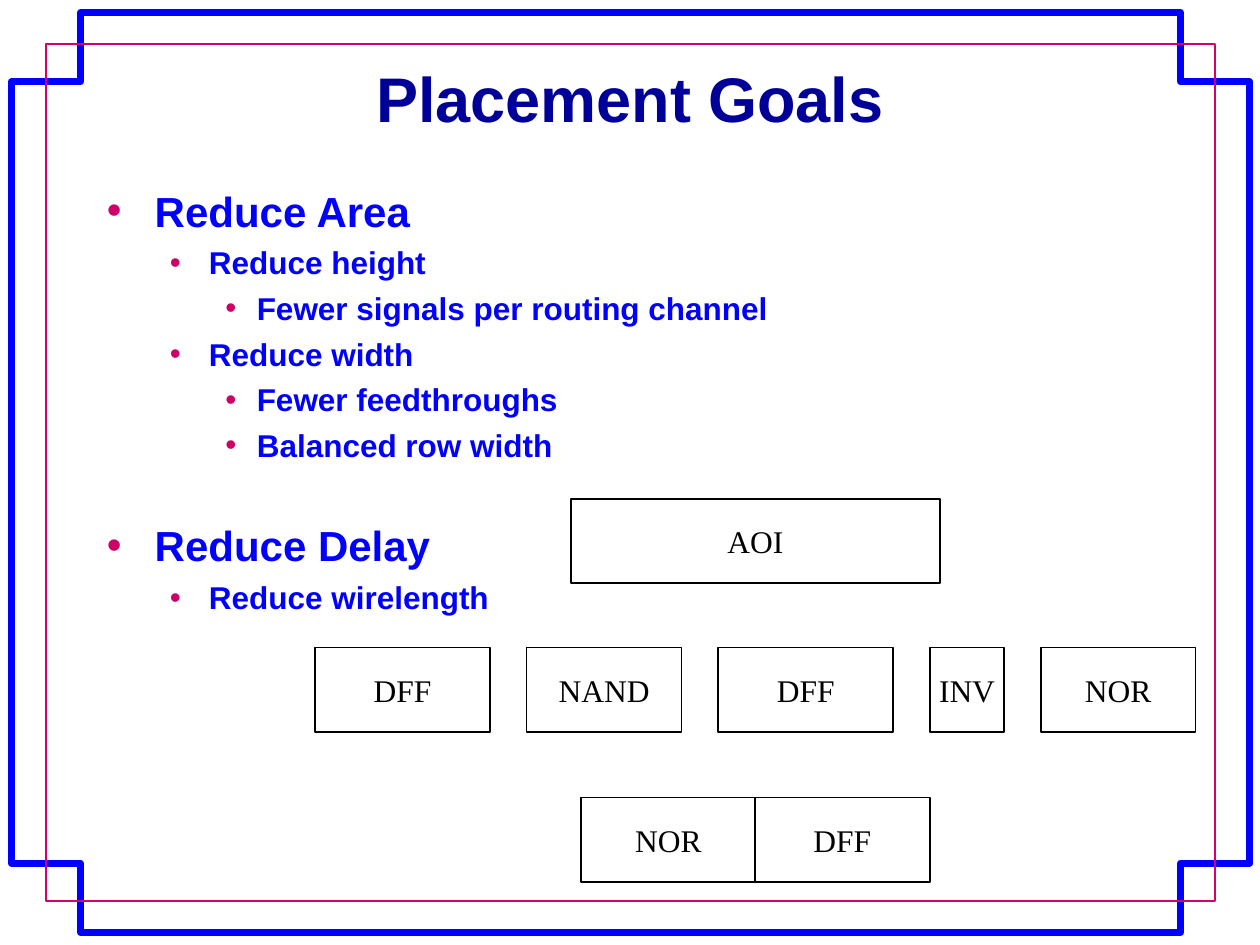
import pptx
import pptx.util
import pptx.dml.color
import pptx.enum.shapes
import pptx.enum.text
import pptx.oxml.ns
from lxml import etree

Pt, Inch = pptx.util.Pt, pptx.util.Inches
ALIGN = pptx.enum.text.PP_ALIGN
ANCHOR = pptx.enum.text.MSO_ANCHOR
RECT = pptx.enum.shapes.MSO_SHAPE.RECTANGLE

WIDE, HIGH = 10, 7.5
INSET = dict(margin_left=Inch(0.1), margin_right=Inch(0.1),
             margin_top=Inch(0.05), margin_bottom=Inch(0.05))

# Per level: text indent, hanging indent, size, space before
LEVELS = [(0.38, 0.38, 24, 6), (0.81, 0.31, 18, 4.5), (1.19, 0.25, 18, 4.5)]
GAP = 32  # space before a new section

GOALS = [
    (0, "Reduce Area"), (1, "Reduce height"),
    (2, "Fewer signals per routing channel"), (1, "Reduce width"),
    (2, "Fewer feedthroughs"), (2, "Balanced row width"),
    (0, "Reduce Delay"), (1, "Reduce wirelength"),
]

# Cell rows: left, top, gap between cells, cells
CELL = 0.67
SIZES = {"AOI": 2.93, "DFF": 1.39, "NAND": 1.23, "INV": 0.59, "NOR": 1.23}
ROWS = [
    (4.53, 3.96, 0, [("AOI", SIZES["AOI"])]),
    (2.5, 5.14, 0.29, [(name, SIZES[name])
                       for name in ("DFF", "NAND", "DFF", "INV", "NOR")]),
    (4.61, 6.33, -0.01, [("NOR", SIZES["DFF"]), ("DFF", SIZES["DFF"])]),
]


def color(code):
    return pptx.dml.color.RGBColor.from_string(code)


def format(item, values):
    for key, value in values.items():
        setattr(item, key, value)


def style(run, size, font, code, bold):
    format(run.font, dict(size=Pt(size), name=font, bold=bold))
    run.font.color.rgb = color(code)


def place(shape, box):
    names = ("left", "top", "width", "height")
    format(shape, dict(zip(names, map(Inch, box))))


def outline(slide, points, code, weight):
    """Closed, unfilled polygon through points in inches."""
    spots = [(Inch(x), Inch(y)) for x, y in points]
    pen = slide.shapes.build_freeform(*spots[0])
    pen.add_line_segments(spots[1:], close=True)
    shape = pen.convert_to_shape()
    shape.shadow.inherit = False
    shape.fill.background()
    shape.line.color.rgb = color(code)
    shape.line.width = Pt(weight)


def frame(slide, box, notch):
    """Notched outer border and thin inner border."""
    left, top, wide, high = box
    right, base = left + wide, top + high
    dx, dy = notch
    outline(slide, [
        (left, top + dy), (left + dx, top + dy), (left + dx, top),
        (right - dx, top), (right - dx, top + dy), (right, top + dy),
        (right, base - dy), (right - dx, base - dy), (right - dx, base),
        (left + dx, base), (left + dx, base - dy), (left, base - dy),
    ], "0000FF", 4)
    x, y = left + dx / 2, top + 0.25
    end, low = right - dx / 2, base - 0.25
    outline(slide, [(x, y), (end, y), (end, low), (x, low)], "D5006C", 1)


def title(slide, box, text):
    shape = slide.shapes.title
    place(shape, box)
    format(shape.text_frame, dict(INSET, vertical_anchor=ANCHOR.TOP,
                                  word_wrap=True))
    para = shape.text_frame.paragraphs[0]
    para.alignment = ALIGN.CENTER
    run = para.add_run()
    run.text = text
    style(run, 36, "Arial", "000099", True)


def bullet(para, left, hang):
    props = para._p.get_or_add_pPr()
    props.set("marL", str(Inch(left)))
    props.set("indent", str(-Inch(hang)))
    name = pptx.oxml.ns.qn
    tint = etree.SubElement(props, name("a:buClr"))
    etree.SubElement(tint, name("a:srgbClr"), val="CC0066")
    etree.SubElement(props, name("a:buFont"), typeface="Arial")
    etree.SubElement(props, name("a:buChar"), char="•")


def goals(slide, box, items):
    """Bulleted list with three levels."""
    body = slide.shapes.add_textbox(*map(Inch, box)).text_frame
    format(body, dict(INSET, word_wrap=True))
    for index, (level, text) in enumerate(items):
        left, hang, size, before = LEVELS[level]
        para = body.paragraphs[0] if index == 0 else body.add_paragraph()
        para.level = level
        para.space_before = Pt(GAP if index and level == 0 else before)
        bullet(para, left, hang)
        run = para.add_run()
        run.text = text
        style(run, size, "Arial", "0000FF", True)


def cell(slide, box, text):
    shape = slide.shapes.add_shape(RECT, *map(Inch, box))
    shape.shadow.inherit = False
    shape.fill.solid()
    shape.fill.fore_color.rgb = color("FFFFFF")
    shape.line.color.rgb = color("000000")
    shape.line.width = Pt(1)
    format(shape.text_frame, dict(INSET, word_wrap=False,
                                  vertical_anchor=ANCHOR.MIDDLE))
    para = shape.text_frame.paragraphs[0]
    para.alignment = ALIGN.CENTER
    run = para.add_run()
    run.text = text
    style(run, 18, "Times New Roman", "000000", False)


def cells(slide, left, top, gap, items):
    """One row of logic cells, spaced evenly."""
    for text, wide in items:
        cell(slide, (left, top, wide, CELL), text)
        left += wide + gap


def main():
    deck = pptx.Presentation()
    format(deck, dict(slide_width=Inch(WIDE), slide_height=Inch(HIGH)))
    slide = deck.slides.add_slide(deck.slide_layouts[5])
    frame(slide, (0.09, 0.1, 9.83, 7.3), (0.55, 0.55))
    title(slide, (0.075 * WIDE, 0.42, 0.85 * WIDE, 0.1 * HIGH),
          "Placement Goals")
    goals(slide, (0.075 * WIDE, 1.42, 0.85 * WIDE, 0.7 * HIGH), GOALS)
    for row in ROWS:
        cells(slide, *row)
    deck.save("out.pptx")


if __name__ == "__main__":
    main()
